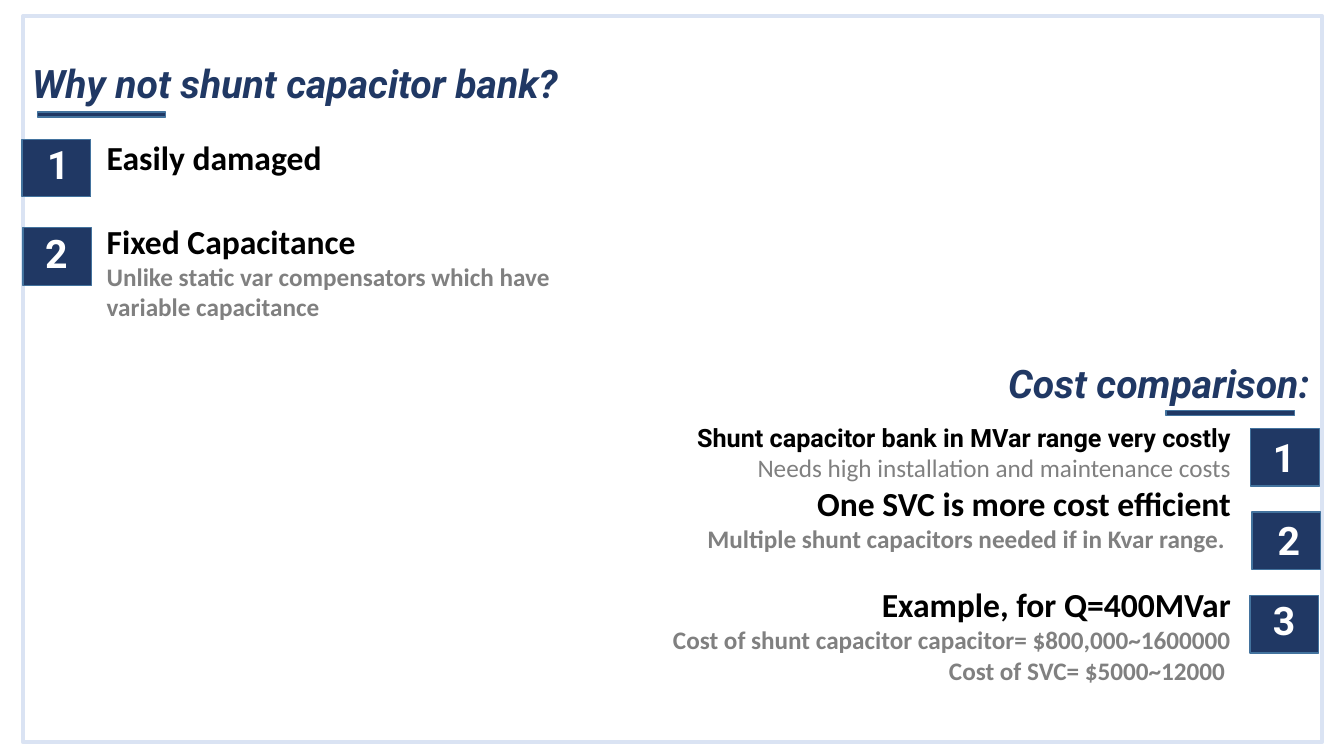
from dataclasses import dataclass

from pptx import Presentation
from pptx import util as u
from pptx.dml.color import RGBColor
from pptx.enum import shapes, text


@dataclass(frozen=True)
class Theme:
    navy: str = "203864"
    edge: str = "43739E"
    frame: str = "DAE3F3"
    white: str = "FFFFFF"
    black: str = "000000"
    grey: str = "808080"
    display: str = "Roboto"
    body: str = "Calibri"
    title_size: int = 28
    head_size: int = 24
    note_size: int = 18


THEME = Theme()


def write(para, words, font=THEME.body, size=THEME.note_size, color=THEME.grey,
          bold=True, italic=False, align=text.PP_ALIGN.LEFT, before=0):
    para.alignment = align
    para.space_before = u.Pt(before)
    span = para.add_run()
    span.text = words
    span.font.name = font
    span.font.size = u.Pt(size)
    span.font.bold = bold
    span.font.italic = italic
    span.font.color.rgb = RGBColor.from_string(color)


class SlideBuilder:
    def __init__(self, page, theme):
        self.page = page
        self.theme = theme

    def rect(self, left, top, width, height, fill, line, weight=1):
        box = self.page.shapes.add_shape(
            shapes.MSO_SHAPE.RECTANGLE, *map(u.Cm, (left, top, width, height)))
        box.shadow.inherit = False
        box.fill.solid()
        box.fill.fore_color.rgb = RGBColor.from_string(fill)
        box.line.color.rgb = RGBColor.from_string(line)
        box.line.width = u.Pt(weight)

    def text(self, left, top, width, height, lines, **shared):
        """Add a text box; each line is a (words, format) pair."""
        box = self.page.shapes.add_textbox(*map(u.Cm, (left, top, width, height)))
        frame = box.text_frame
        frame.word_wrap = True
        frame.auto_size = text.MSO_AUTO_SIZE.SHAPE_TO_FIT_TEXT
        for index, (words, style) in enumerate(lines):
            para = frame.add_paragraph() if index else frame.paragraphs[0]
            write(para, words, **{**shared, **style})

    def heading(self, left, top, width, words, bar_left, bar_top, **style):
        t = self.theme
        self.text(left, top, width, 1.45, [(words, style)], font=t.display,
                  size=t.title_size, color=t.navy, italic=True)
        self.rect(bar_left, bar_top, 3.23, 0.13, t.navy, t.edge)

    def badge(self, number, left, top, number_left, number_top):
        t = self.theme
        self.rect(left, top, 1.73, 1.45, t.navy, t.edge)
        self.text(number_left, number_top, 1.3, 1.45, [(str(number), {})],
                  font=t.display, size=t.title_size, color=t.white)


def main():
    deck = Presentation()
    deck.slide_width, deck.slide_height = u.Cm(33.87), u.Cm(19.05)
    page = deck.slides.add_slide(deck.slide_layouts[6])
    slide = SlideBuilder(page, THEME)
    head = {"size": THEME.head_size, "color": THEME.black}
    right = text.PP_ALIGN.RIGHT

    slide.rect(0.58, 0.41, 32.74, 18.29, THEME.white, THEME.frame, weight=3)

    slide.heading(0.56, 1.37, 14.12, "Why not shunt capacitor bank?", 0.94, 2.82)
    slide.badge(1, 0.56, 3.51, 0.94, 3.4)
    slide.text(2.44, 3.33, 15.14, 1.27, [("Easily damaged", head)])
    slide.badge(2, 0.58, 5.74, 0.89, 5.66)
    slide.text(2.44, 5.44, 12.8, 2.82, [
        ("Fixed Capacitance", head),
        ("Unlike static var compensators which have variable capacitance", {}),
    ])

    slide.heading(22.35, 8.92, 10.9, "Cost comparison:", 29.39, 10.34, align=right)
    slide.text(15.27, 10.52, 16, 6.93, [
        ("Shunt capacitor bank in MVar range very costly",
         {"font": THEME.display, "color": THEME.black}),
        ("Needs high installation and maintenance costs", {"bold": False}),
        ("One SVC is more cost efficient", head),
        ("Multiple shunt capacitors needed if in Kvar range. ", {}),
        ("Example, for Q=400MVar", {**head, "before": 22}),
        ("Cost of shunt capacitor capacitor= $800,000~1600000", {}),
        ("Cost of SVC= $5000~12000 ", {}),
    ], align=right)
    slide.badge(1, 31.52, 10.8, 31.83, 10.8)
    slide.badge(2, 31.55, 12.9, 31.95, 12.88)
    slide.badge(3, 31.5, 15.01, 31.83, 14.91)

    deck.save("out.pptx")


if __name__ == "__main__":
    main()
